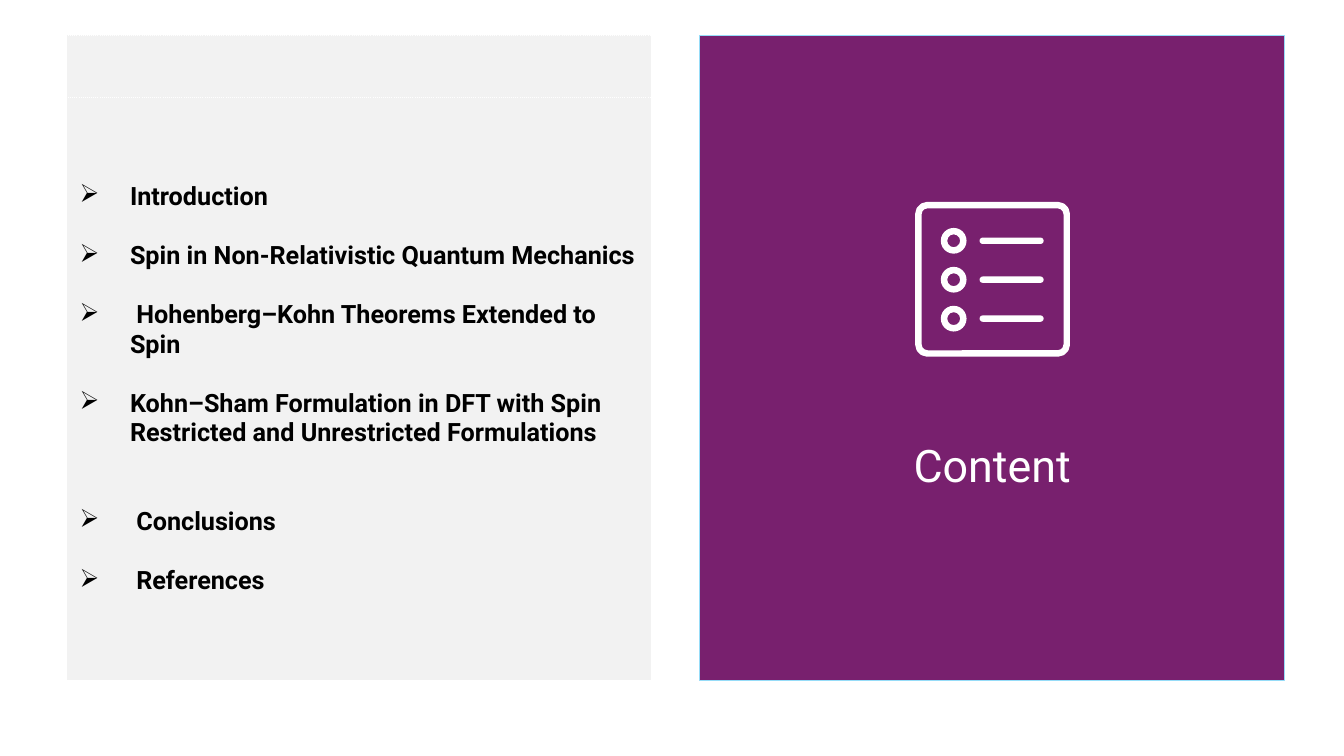
from lxml.etree import SubElement
from pptx import Presentation
from pptx.dml.color import RGBColor
from pptx.enum.shapes import MSO_SHAPE as Kind
from pptx.enum.text import MSO_ANCHOR as Anchor, MSO_AUTO_SIZE as Fit, PP_ALIGN as Align
from pptx.oxml.ns import qn
from pptx.util import Pt

FONT = "Roboto"
WHITE, BLACK, GREY = "FFFFFF", "000000", "F2F2F2"
PURPLE, BLUE = "78206E", "96DCF8"
TOP, WIDE, TALL = 25.2, 417.6, 460.8
HEAD = 44.64
LINE = 21.1  # height of one text line

# Each topic with the space before it, in text lines
TOPICS = [
    ("Introduction", 0),
    ("Spin in Non-Relativistic Quantum Mechanics", 1),
    (" Hohenberg–Kohn Theorems Extended to Spin", 1),
    ("Kohn–Sham Formulation in DFT with Spin Restricted and Unrestricted Formulations", 1),
    (" Conclusions", 2),
    (" References", 1),
]


def color(code):
    return RGBColor.from_string(code)


def style(par, size, code, bold=False):
    for run in par.runs:
        font = run.font
        font.name, font.size, font.bold = FONT, Pt(size), bold
        font.color.rgb = color(code)


def shape(home, kind, box, fill=None, line=None, width=0.75, adjust=None):
    item = home.shapes.add_shape(kind, *(Pt(v) for v in box))
    item.shadow.inherit = False
    if adjust is not None:
        item.adjustments[0] = adjust
    if fill:
        item.fill.solid()
        item.fill.fore_color.rgb = color(fill)
    else:
        item.fill.background()
    if line:
        item.line.color.rgb = color(line)
        item.line.width = Pt(width)
    else:
        item.line.fill.background()
    return item


def border(cell):
    props = cell._tc.get_or_add_tcPr()
    for side in ("a:lnT", "a:lnB"):
        edge = SubElement(props, qn(side), w=str(Pt(1)))
        fill = SubElement(edge, qn("a:solidFill"))
        SubElement(fill, qn("a:srgbClr"), val=WHITE)
        SubElement(edge, qn("a:prstDash"), val="sysDot")


def bullet(par, mark):
    props = par._p.get_or_add_pPr()
    props.set("marL", str(Pt(36)))
    props.set("indent", str(Pt(-36)))
    SubElement(props, qn("a:buChar"), char=mark)


def agenda(slide):
    table = slide.shapes.add_table(
        2, 1, Pt(47.5), Pt(TOP), Pt(WIDE), Pt(TALL)).table
    table.first_row = table.horz_banding = False
    for row, high in zip(table.rows, (HEAD, TALL - HEAD)):
        row.height = Pt(high)
        cell = row.cells[0]
        border(cell)
        cell.fill.solid()
        cell.fill.fore_color.rgb = color(GREY)

    # Topics in the lower cell
    cell = table.cell(1, 0)
    cell.vertical_anchor = Anchor.MIDDLE
    cell.margin_left = cell.margin_right = Pt(9.36)
    cell.margin_top = cell.margin_bottom = Pt(9.36)
    frame = cell.text_frame
    frame.text = "\n".join(text for text, gap in TOPICS)
    for par, (text, gap) in zip(frame.paragraphs, TOPICS):
        par.space_before = Pt(gap * LINE)
        bullet(par, "➢")
        style(par, 18, BLACK, bold=True)


def icon(slide):
    group = slide.shapes.add_group_shape()
    pen, ring = 4.6, 18.4
    shape(group, Kind.ROUNDED_RECTANGLE, (656, 146.5, 106, 106),
          line=WHITE, width=pen, adjust=0.06)
    for i in range(3):
        mid = 172 + 27.8 * i
        shape(group, Kind.DONUT, (672, mid - ring / 2, ring, ring),
              fill=WHITE, adjust=pen / ring)
        shape(group, Kind.ROUNDED_RECTANGLE, (699.7, mid - pen / 2, 45.8, pen),
              fill=WHITE, adjust=0.5)


def heading(slide, text):
    title = slide.shapes.title
    title.left, title.top = Pt(532.8), Pt(312.5)
    title.width, title.height = Pt(352), Pt(38.9)
    frame = title.text_frame
    frame.text = text
    frame.word_wrap = True
    frame.auto_size = Fit.NONE
    frame.vertical_anchor = Anchor.MIDDLE
    frame.margin_left = frame.margin_right = 0
    frame.margin_top = frame.margin_bottom = 0
    par = frame.paragraphs[0]
    par.alignment = Align.CENTER
    style(par, 32, WHITE)
    # Bring the title in front of the panel
    title.element.getparent().append(title.element)


def main():
    deck = Presentation()
    deck.slide_width, deck.slide_height = Pt(960), Pt(540)
    slide = deck.slides.add_slide(deck.slide_layouts[5])
    shape(slide, Kind.RECTANGLE, (499.7, TOP, WIDE, TALL), PURPLE, BLUE)
    agenda(slide)
    icon(slide)
    heading(slide, "Content")
    deck.save("out.pptx")


if __name__ == "__main__":
    main()
